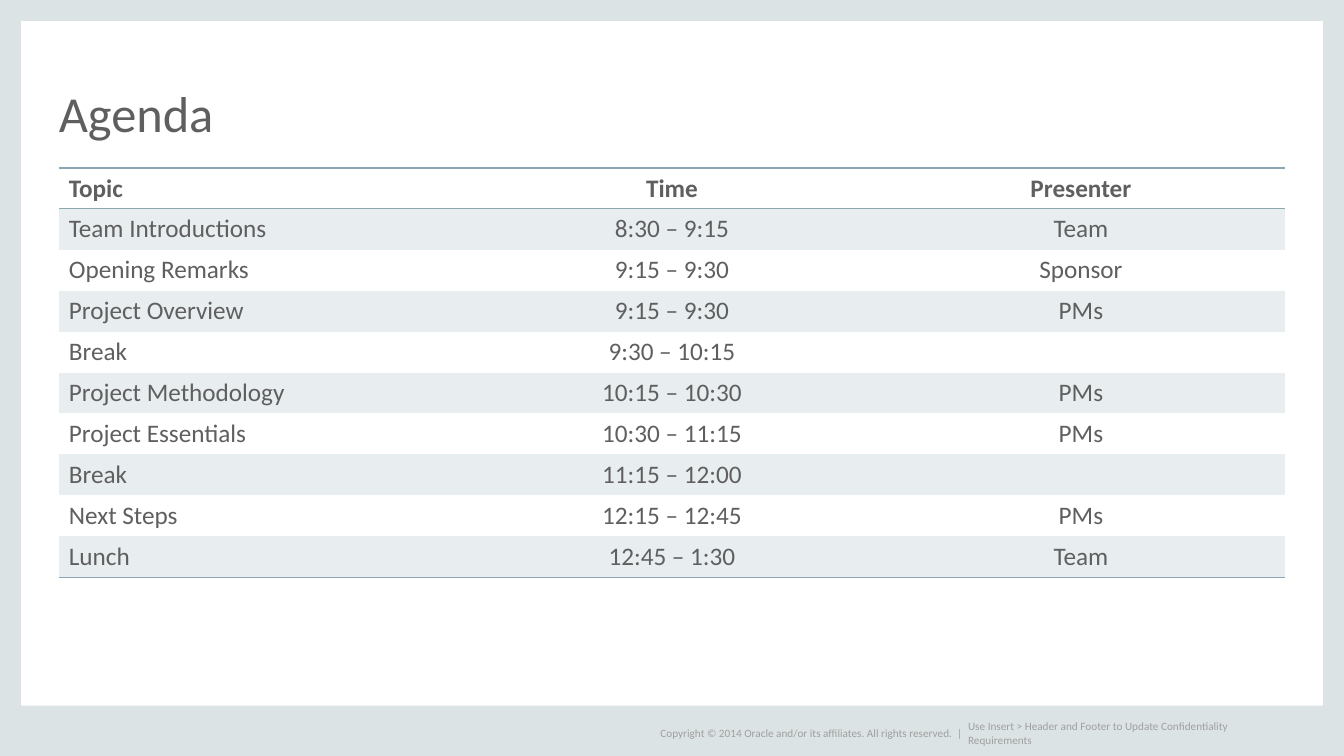
"""Build the agenda slide with its framed page, schedule table and footer."""
from lxml import etree
from pptx import Presentation
from pptx.dml.color import RGBColor
from pptx.enum.shapes import MSO_SHAPE
from pptx.enum.text import MSO_ANCHOR, PP_ALIGN
from pptx.oxml.ns import qn
from pptx.util import Emu, Pt

RECT = MSO_SHAPE.RECTANGLE
MIDDLE, BOTTOM = MSO_ANCHOR.MIDDLE, MSO_ANCHOR.BOTTOM
LEFT, CENTER = PP_ALIGN.LEFT, PP_ALIGN.CENTER

FRAME = RGBColor(0xDC, 0xE3, 0xE4)
TEXT = RGBColor(0x5F, 0x5F, 0x5F)
FOOTER = RGBColor(0x9F, 0x9F, 0x9F)
RULE = RGBColor(0x8D, 0xA6, 0xB1)
BAND = RGBColor(0xE8, 0xED, 0xEF)
FONT = "Calibri"
NO_STYLE = "{2D5ABB26-0587-4C30-8999-92F81FD0307C}"

WIDTH, HEIGHT = 1280, 720
EDGE, FOOT = 20, 48
MARGIN = 56
ROW_HEIGHT = 39
COL_WIDTHS = (389, 390, 389)

AGENDA = [
    ("Topic", "Time", "Presenter"),
    ("Team Introductions", "8:30 – 9:15", "Team"),
    ("Opening Remarks", "9:15 – 9:30", "Sponsor"),
    ("Project Overview", "9:15 – 9:30", "PMs"),
    ("Break", "9:30 – 10:15", ""),
    ("Project Methodology", "10:15 – 10:30", "PMs"),
    ("Project Essentials", "10:30 – 11:15", "PMs"),
    ("Break", "11:15 – 12:00", ""),
    ("Next Steps", "12:15 – 12:45", "PMs"),
    ("Lunch", "12:45 – 1:30", "Team"),
]


def px(n):
    """Turn pixels into EMU."""
    return Emu(n * 9525)


def format_runs(p, size, color, bold=False):
    """Set the font of every run in a paragraph."""
    for r in p.runs:
        r.font.name = FONT
        r.font.size = Pt(size)
        r.font.bold = bold
        r.font.color.rgb = color


def add_bar(s, x, y, w, h):
    """Add one plain bar of the page frame."""
    sp = s.shapes.add_shape(RECT, px(x), px(y), px(w), px(h))
    sp.shadow.inherit = False
    sp.fill.solid()
    sp.fill.fore_color.rgb = FRAME
    sp.line.fill.background()


def add_text(s, x, y, w, h, text, size, color, anchor, wrap):
    """Add a text box without insets and return its paragraph."""
    tf = s.shapes.add_textbox(px(x), px(y), px(w), px(h)).text_frame
    tf.margin_left = tf.margin_right = tf.margin_top = tf.margin_bottom = 0
    tf.word_wrap = wrap
    tf.vertical_anchor = anchor
    tf.text = text
    p = tf.paragraphs[0]
    format_runs(p, size, color)
    return p


def add_border(cell, tag):
    """Draw a one-point rule on one side of a cell."""
    ln = etree.Element(qn(tag), w=str(Pt(1)))
    fill = etree.SubElement(ln, qn("a:solidFill"))
    etree.SubElement(fill, qn("a:srgbClr"), val=str(RULE))
    cell._tc.get_or_add_tcPr().insert(0, ln)


def add_agenda(s, x, y, rows):
    """Add the schedule table with banded rows and ruled header and end."""
    last = len(rows) - 1
    frame = s.shapes.add_table(len(rows), len(COL_WIDTHS), px(x), px(y),
                               px(sum(COL_WIDTHS)), px(ROW_HEIGHT * len(rows)))
    table = frame.table
    table._tbl.tblPr.find(qn("a:tableStyleId")).text = NO_STYLE
    table.horz_banding = False
    for col, width in zip(table.columns, COL_WIDTHS):
        col.width = px(width)
    for i, values in enumerate(rows):
        table.rows[i].height = px(ROW_HEIGHT)
        for j, value in enumerate(values):
            cell = table.cell(i, j)
            cell.text = value
            p = cell.text_frame.paragraphs[0]
            p.alignment = CENTER if j else LEFT
            format_runs(p, 18, TEXT, bold=i == 0)
            if i % 2:
                cell.fill.solid()
                cell.fill.fore_color.rgb = BAND
            else:
                cell.fill.background()
            if i in (0, last):
                add_border(cell, "a:lnB")
            if i == 0:
                add_border(cell, "a:lnT")


def main():
    """Build and save the slide."""
    prs = Presentation()
    prs.slide_width, prs.slide_height = px(WIDTH), px(HEIGHT)
    s = prs.slides.add_slide(prs.slide_layouts[6])
    add_bar(s, 0, 0, EDGE, HEIGHT)
    add_bar(s, WIDTH - EDGE, 0, EDGE, HEIGHT)
    add_bar(s, 0, HEIGHT - FOOT, WIDTH, FOOT)
    add_bar(s, 0, 0, WIDTH, EDGE)
    title = add_text(s, MARGIN, 42, WIDTH - 2 * MARGIN, 93, "Agenda",
                     36, TEXT, BOTTOM, True)
    title.line_spacing = 0.8
    add_agenda(s, MARGIN, 160, AGENDA)
    notices = [
        (629, 293, "Copyright © 2014 Oracle and/or its affiliates. All rights reserved.  |"),
        (922, 262, "Use Insert > Header and Footer to Update Confidentiality Requirements"),
    ]
    for x, w, text in notices:
        add_text(s, x, 688, w, 20, text, 8, FOOTER, MIDDLE, False)
    prs.save("out.pptx")


if __name__ == "__main__":
    main()
